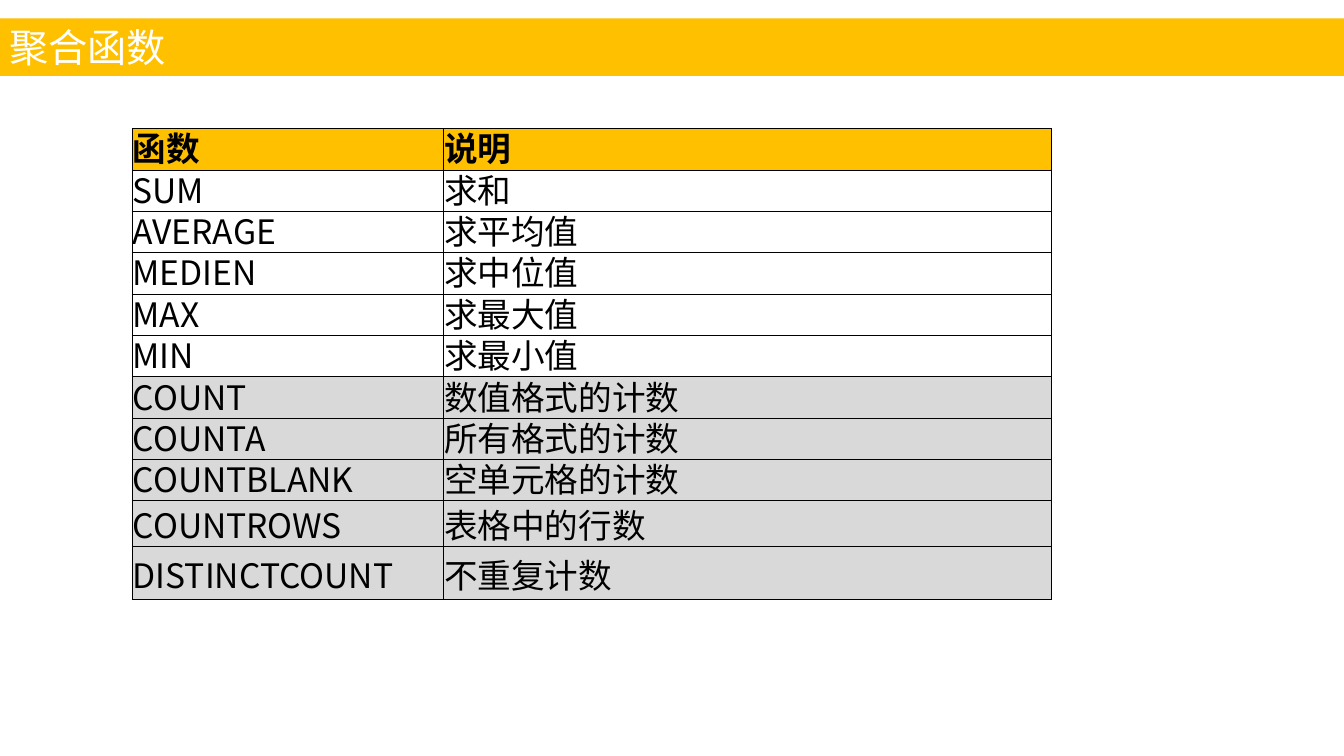
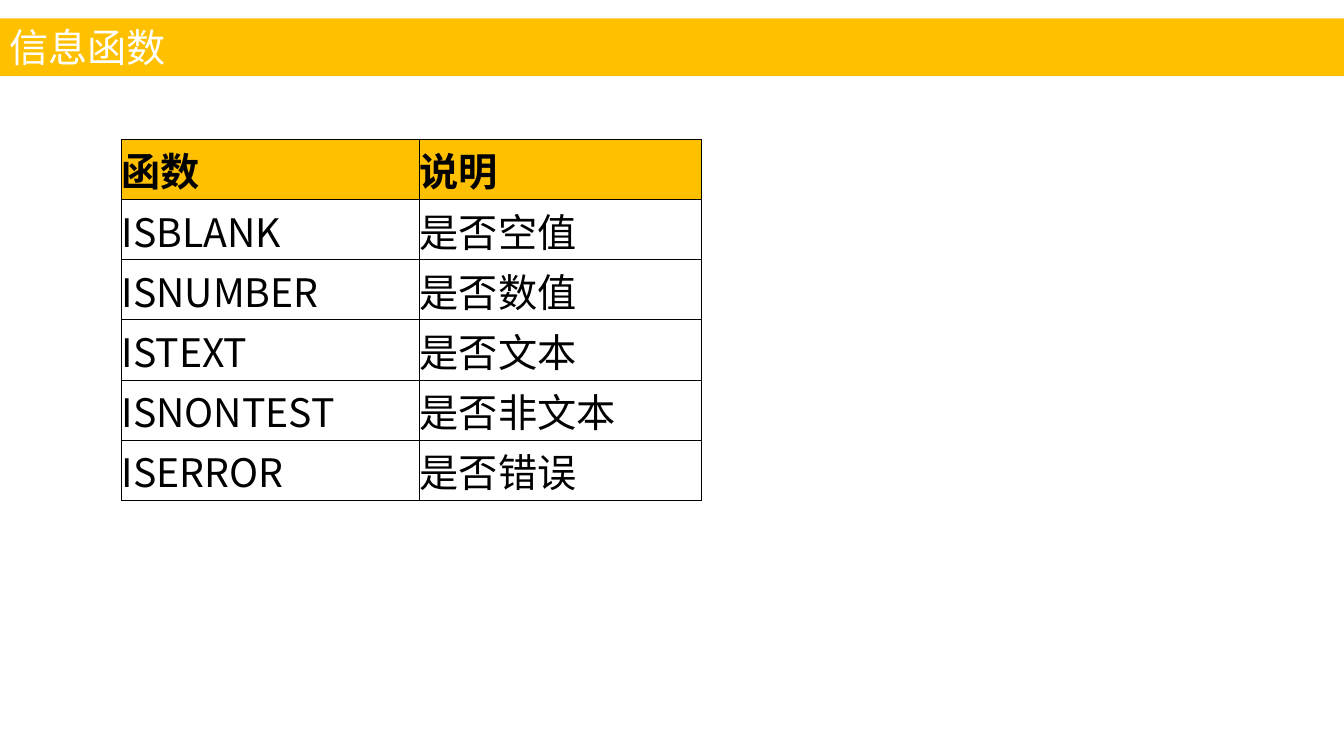
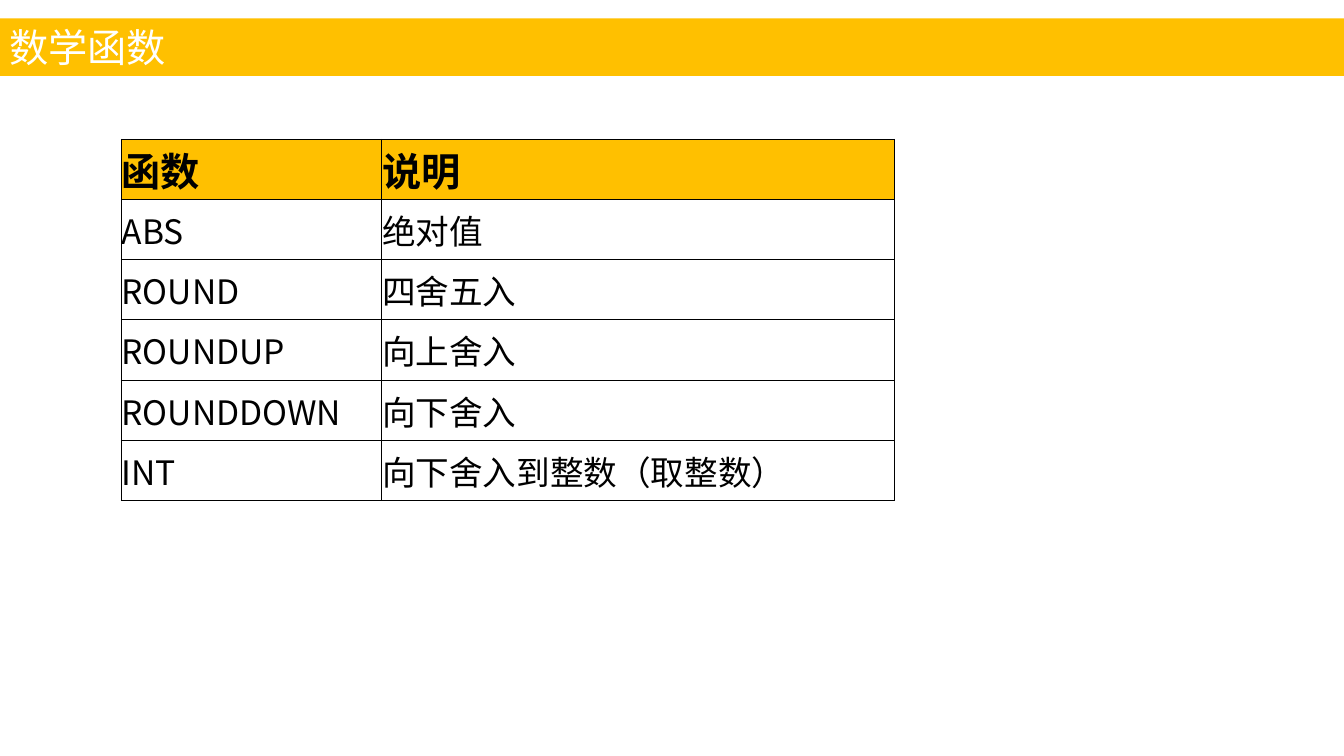
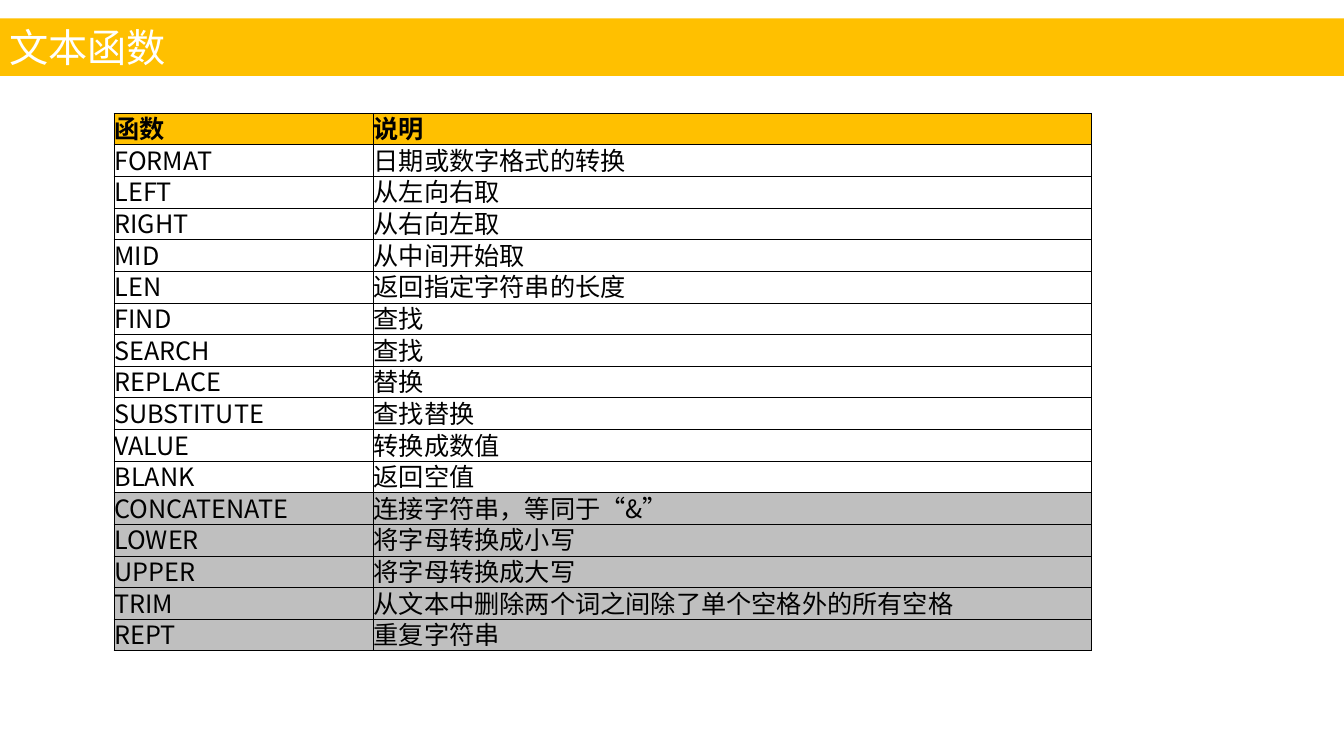
import pptx
import pptx.util
import pptx.dml.color
import pptx.enum.text
import pptx.oxml
import pptx.oxml.ns

Pt = pptx.util.Pt

COLORS = {
    "band": "FFC000",
    "title": "FFFFFF",
    "text": "000000",
    "border": "000000",
    "light": "D9D9D9",
    "gray": "BFBFBF",
}


class Deck:
    title_font = "Arial"
    table_font = "Noto Sans CJK SC"
    title_size = 28
    border_width = 0.5
    line_height = 1.45
    tight_spacing = 0.82

    def __init__(self):
        self.prs = pptx.Presentation()
        self.prs.slide_width = Pt(960)
        self.prs.slide_height = Pt(540)
        self.s = None

    def color(self, name):
        return pptx.dml.color.RGBColor.from_string(COLORS[name])

    def font(self, p, name, size, color, bold=False):
        p.font.name = name
        p.font.size = Pt(size)
        p.font.bold = bold
        p.font.color.rgb = self.color(color)

    def slide(self, title):
        self.s = self.prs.slides.add_slide(self.prs.slide_layouts[5])
        sp = self.s.shapes.title
        sp.left, sp.top, sp.width, sp.height = Pt(0), Pt(13.2), Pt(960), Pt(41)
        sp.fill.solid()
        sp.fill.fore_color.rgb = self.color("band")
        tf = sp.text_frame
        tf.text = title
        tf.margin_left = Pt(6.5)
        tf.auto_size = pptx.enum.text.MSO_AUTO_SIZE.NONE
        tf.vertical_anchor = pptx.enum.text.MSO_ANCHOR.MIDDLE
        p = tf.paragraphs[0]
        p.alignment = pptx.enum.text.PP_ALIGN.LEFT
        self.font(p, self.title_font, self.title_size, "title")

    def borders(self, cell):
        tc_pr = cell._tc.get_or_add_tcPr()
        for i, side in enumerate(("lnL", "lnR", "lnT", "lnB")):
            line = pptx.oxml.parse_xml(
                f'<a:{side} {pptx.oxml.ns.nsdecls("a")} w="{Pt(self.border_width)}">'
                f'<a:solidFill><a:srgbClr val="{COLORS["border"]}"/></a:solidFill>'
                f'</a:{side}>'
            )
            tc_pr.insert(i, line)

    def cell(self, cell, text, size, fill, bold, tight):
        cell.margin_left = cell.margin_right = Pt(0.4)
        cell.margin_top = Pt(0.75)
        cell.margin_bottom = Pt(0)
        cell.vertical_anchor = (
            pptx.enum.text.MSO_ANCHOR.BOTTOM if tight
            else pptx.enum.text.MSO_ANCHOR.MIDDLE)
        if fill:
            cell.fill.solid()
            cell.fill.fore_color.rgb = self.color(fill)
        else:
            cell.fill.background()
        cell.text = text
        p = cell.text_frame.paragraphs[0]
        if tight:
            p.line_spacing = self.tight_spacing
        self.font(p, self.table_font, size, "text", bold)
        self.borders(cell)

    def table(self, left, top, widths, heights, rows, size, head_size=None,
              shaded=0, shade=None):
        rows = [("函数", "说明")] + rows
        frame = self.s.shapes.add_table(
            len(rows), len(widths), Pt(left), Pt(top), Pt(sum(widths)), Pt(sum(heights)))
        table = frame.table
        table.horz_banding = False
        for column, width in zip(table.columns, widths):
            column.width = Pt(width)
        for i, (row, height, texts) in enumerate(zip(table.rows, heights, rows)):
            row.height = Pt(height)
            head = i == 0
            fill = "band" if head else shade if i >= len(rows) - shaded else None
            row_size = head_size or size if head else size
            tight = row_size * self.line_height > height
            for cell, text in zip(row.cells, texts):
                self.cell(cell, text, row_size, fill, head, tight)

    def save(self):
        self.prs.save("out.pptx")


deck = Deck()

deck.slide("聚合函数")
deck.table(94.4, 91.8, (222.4, 434.2), [29.55] * 9 + [32.4, 38.4], [
    ("SUM", "求和"),
    ("AVERAGE", "求平均值"),
    ("MEDIEN", "求中位值"),
    ("MAX", "求最大值"),
    ("MIN", "求最小值"),
    ("COUNT", "数值格式的计数"),
    ("COUNTA", "所有格式的计数"),
    ("COUNTBLANK", "空单元格的计数"),
    ("COUNTROWS", "表格中的行数"),
    ("DISTINCTCOUNT", "不重复计数"),
], 24, shaded=5, shade="light")

deck.slide("信息函数")
deck.table(86.5, 99.5, (213, 201.3), [43] * 6, [
    ("ISBLANK", "是否空值"),
    ("ISNUMBER", "是否数值"),
    ("ISTEXT", "是否文本"),
    ("ISNONTEST", "是否非文本"),
    ("ISERROR", "是否错误"),
], 28)

deck.slide("数学函数")
deck.table(86.5, 99.5, (186, 366.6), [43] * 6, [
    ("ABS", "绝对值"),
    ("ROUND", "四舍五入"),
    ("ROUNDUP", "向上舍入"),
    ("ROUNDDOWN", "向下舍入"),
    ("INT", "向下舍入到整数（取整数）"),
], 24, head_size=28)

deck.slide("文本函数")
deck.table(81.4, 80.8, (185.2, 513.2), [22.6] * 17, [
    ("FORMAT", "日期或数字格式的转换"),
    ("LEFT", "从左向右取"),
    ("RIGHT", "从右向左取"),
    ("MID", "从中间开始取"),
    ("LEN", "返回指定字符串的长度"),
    ("FIND", "查找"),
    ("SEARCH", "查找"),
    ("REPLACE", "替换"),
    ("SUBSTITUTE", "查找替换"),
    ("VALUE", "转换成数值"),
    ("BLANK", "返回空值"),
    ("CONCATENATE", "连接字符串，等同于“&”"),
    ("LOWER", "将字母转换成小写"),
    ("UPPER", "将字母转换成大写"),
    ("TRIM", "从文本中删除两个词之间除了单个空格外的所有空格"),
    ("REPT", "重复字符串"),
], 18, shaded=5, shade="gray")

deck.save()
